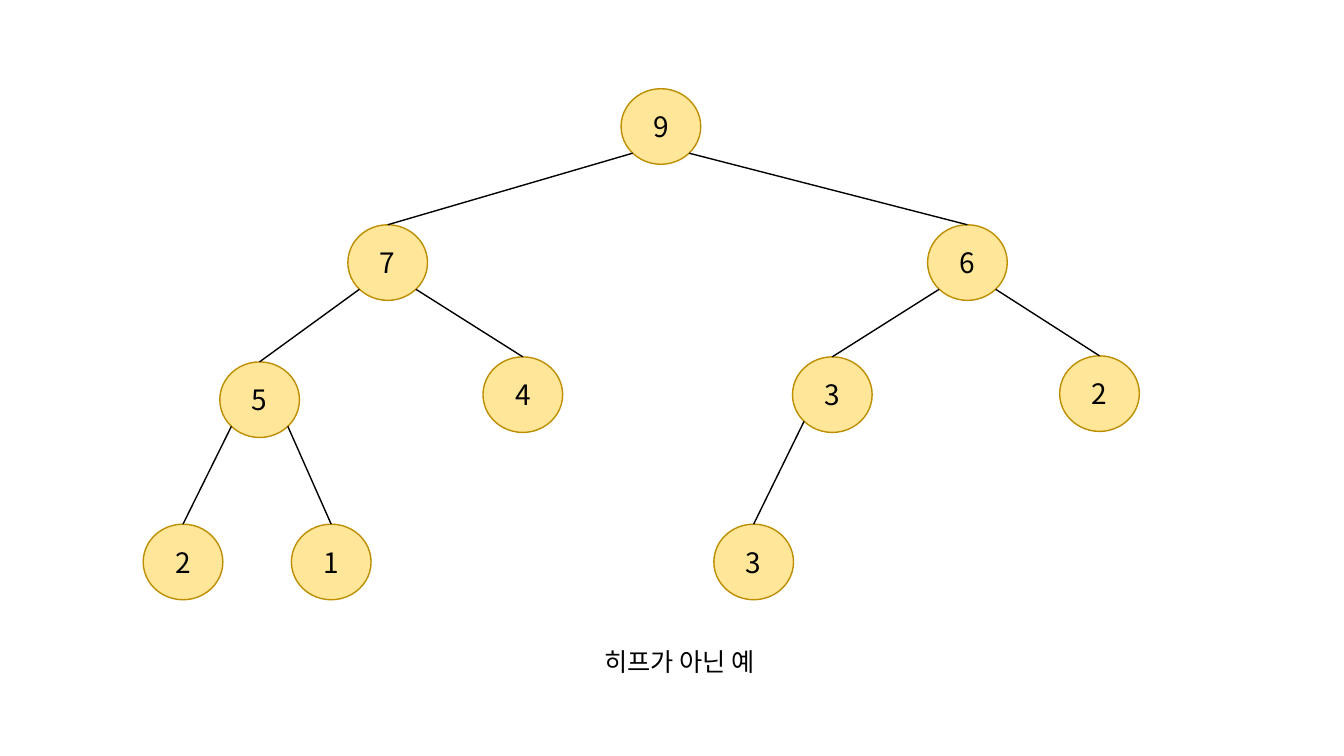
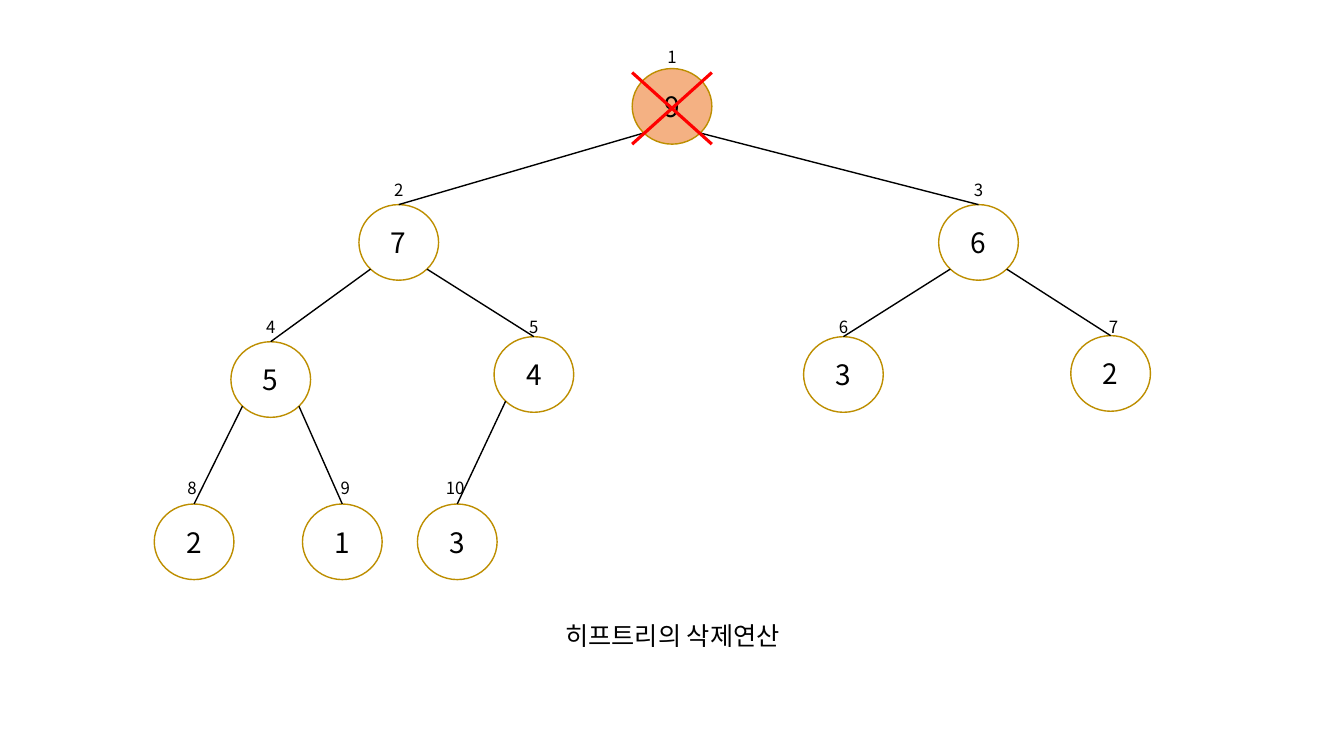
"""Build two slides that show a heap as a binary tree."""
from lxml import etree
from pptx import Presentation
from pptx.dml.color import RGBColor
from pptx.enum.shapes import MSO_CONNECTOR, MSO_SHAPE
from pptx.enum.text import MSO_ANCHOR, PP_ALIGN
from pptx.oxml.ns import qn
from pptx.util import Inches, Pt

STRAIGHT = MSO_CONNECTOR.STRAIGHT
CIRCLE = MSO_SHAPE.FLOWCHART_CONNECTOR
MIDDLE, TOP = MSO_ANCHOR.MIDDLE, MSO_ANCHOR.TOP
CENTER = PP_ALIGN.CENTER

FONT = "Noto Sans CJK KR"
BLACK, WHITE, RED = "000000", "FFFFFF", "FF0000"
YELLOW, ORANGE, GOLD = "FFE699", "F4B183", "BD8E00"

NODE_WIDTH, NODE_HEIGHT = 0.79, 0.75
BRANCH_X, BRANCH_Y = 0.28, 0.64
LABEL_WIDTH, LABEL_HEIGHT = 0.42, 0.3

VALUES = {1: 9, 2: 7, 3: 6, 4: 5, 5: 4, 6: 3, 7: 2, 8: 2, 9: 1, 10: 3, 12: 3}
POSITIONS = {
    1: (6.16, 0.88),
    2: (3.45, 2.23), 3: (9.2, 2.23),
    4: (2.18, 3.59), 5: (4.79, 3.54), 6: (7.86, 3.54), 7: (10.51, 3.53),
    8: (1.42, 5.2), 9: (2.89, 5.2), 10: (4.03, 5.2), 12: (7.08, 5.2),
}
LABEL_TOPS = (0.41, 1.73, 3.09, 4.69)
LABEL_SHIFTS = {7: 0.03, 8: -0.02, 9: 0.03, 10: -0.02}


def color(value):
    """Turn a hex string into a colour."""
    return RGBColor.from_string(value)


def write(shape, text, size=18, fill=BLACK, anchor=TOP, align=CENTER):
    """Put one formatted paragraph into a shape."""
    frame = shape.text_frame
    frame.word_wrap = True
    frame.vertical_anchor = anchor
    paragraph = frame.paragraphs[0]
    paragraph.alignment = align
    run = paragraph.add_run()
    run.text = text
    run.font.size = Pt(size)
    run.font.color.rgb = color(fill)
    run.font.name = FONT
    east_asian = etree.SubElement(run._r.get_or_add_rPr(), qn("a:ea"))
    east_asian.set("typeface", FONT)


class TreeDeck:
    """Hold the presentation, the current slide and the tree's offset."""

    def __init__(self):
        """Start an empty widescreen presentation."""
        self.presentation = Presentation()
        self.presentation.slide_width = Inches(13.33)
        self.presentation.slide_height = Inches(7.5)

    def add_slide(self, offset=(0, 0)):
        """Begin a blank slide whose tree is moved by the offset."""
        layout = self.presentation.slide_layouts[6]
        self.slide = self.presentation.slides.add_slide(layout)
        self.offset = offset

    def place(self, index):
        """Return the left and top of a node."""
        return tuple(a + b for a, b in zip(POSITIONS[index], self.offset))

    def text(self, text, left, top, width, height, **style):
        """Add a text box."""
        box = self.slide.shapes.add_textbox(
            Inches(left), Inches(top), Inches(width), Inches(height))
        write(box, text, **style)

    def line(self, start, end, stroke=BLACK, weight=1):
        """Add a straight line between two points."""
        points = [Inches(value) for value in (*start, *end)]
        connector = self.slide.shapes.add_connector(STRAIGHT, *points)
        connector.line.color.rgb = color(stroke)
        connector.line.width = Pt(weight)
        etree.SubElement(connector._element.spPr, qn("a:effectLst"))
        return connector

    def node(self, index, fill):
        """Add the circle of a node."""
        left, top = self.place(index)
        circle = self.slide.shapes.add_shape(
            CIRCLE, Inches(left), Inches(top), Inches(NODE_WIDTH), Inches(NODE_HEIGHT))
        circle.shadow.inherit = False
        circle.fill.solid()
        circle.fill.fore_color.rgb = color(fill)
        circle.line.color.rgb = color(GOLD)
        circle.line.width = Pt(1)
        write(circle, str(VALUES[index]), size=20, anchor=MIDDLE)
        return circle

    def branch(self, index, circle):
        """Join the top of a node to its parent's lower left or right."""
        left, top = self.place(index)
        parent_left, parent_top = self.place(index // 2)
        side = 1 if index % 2 else -1
        end = (parent_left + NODE_WIDTH / 2 + side * BRANCH_X, parent_top + BRANCH_Y)
        connector = self.line((left + NODE_WIDTH / 2, top), end)
        connector.begin_connect(circle, 0)

    def tree(self, indexes, fill, root_fill):
        """Draw the nodes with the given heap indexes and their branches."""
        for index in indexes:
            circle = self.node(index, root_fill if index == 1 else fill)
            if index > 1:
                self.branch(index, circle)

    def label(self, index):
        """Write the heap index above its node."""
        left, _ = self.place(index)
        left += (NODE_WIDTH - LABEL_WIDTH) / 2 + LABEL_SHIFTS.get(index, 0)
        top = LABEL_TOPS[index.bit_length() - 1]
        self.text(str(index), left, top, LABEL_WIDTH, LABEL_HEIGHT, size=12)

    def cross_out(self, index):
        """Strike a node through with a red cross."""
        left, top = self.place(index)
        right, bottom = left + NODE_WIDTH, top + NODE_HEIGHT
        top += 0.04
        self.line((left, top), (right, bottom), stroke=RED, weight=2.25)
        self.line((right, top), (left, bottom), stroke=RED, weight=2.25)

    def caption(self, text, left, top):
        """Write the caption below the tree."""
        self.text(text, left, top, 5.94, 0.4)


def main():
    """Build and save both slides."""
    deck = TreeDeck()

    deck.add_slide()
    deck.tree([*range(1, 10), 12], YELLOW, YELLOW)
    deck.caption("히프가 아닌 예", 3.77, 6.36)

    deck.add_slide(offset=(0.11, -0.2))
    deck.tree(range(1, 11), WHITE, ORANGE)
    for index in range(1, 11):
        deck.label(index)
    deck.cross_out(1)
    deck.caption("히프트리의 삭제연산", 3.7, 6.1)

    deck.presentation.save("out.pptx")


if __name__ == "__main__":
    main()
